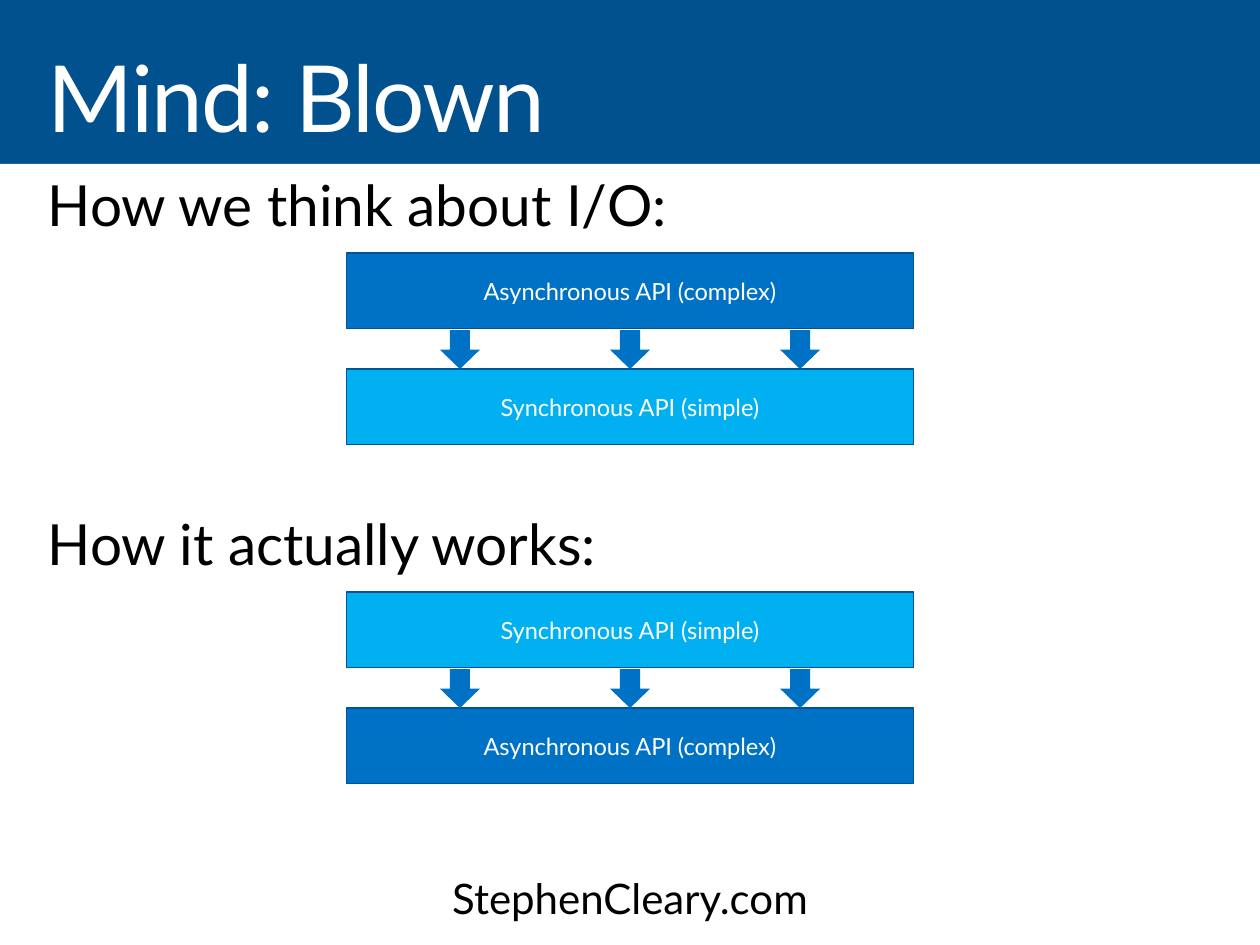
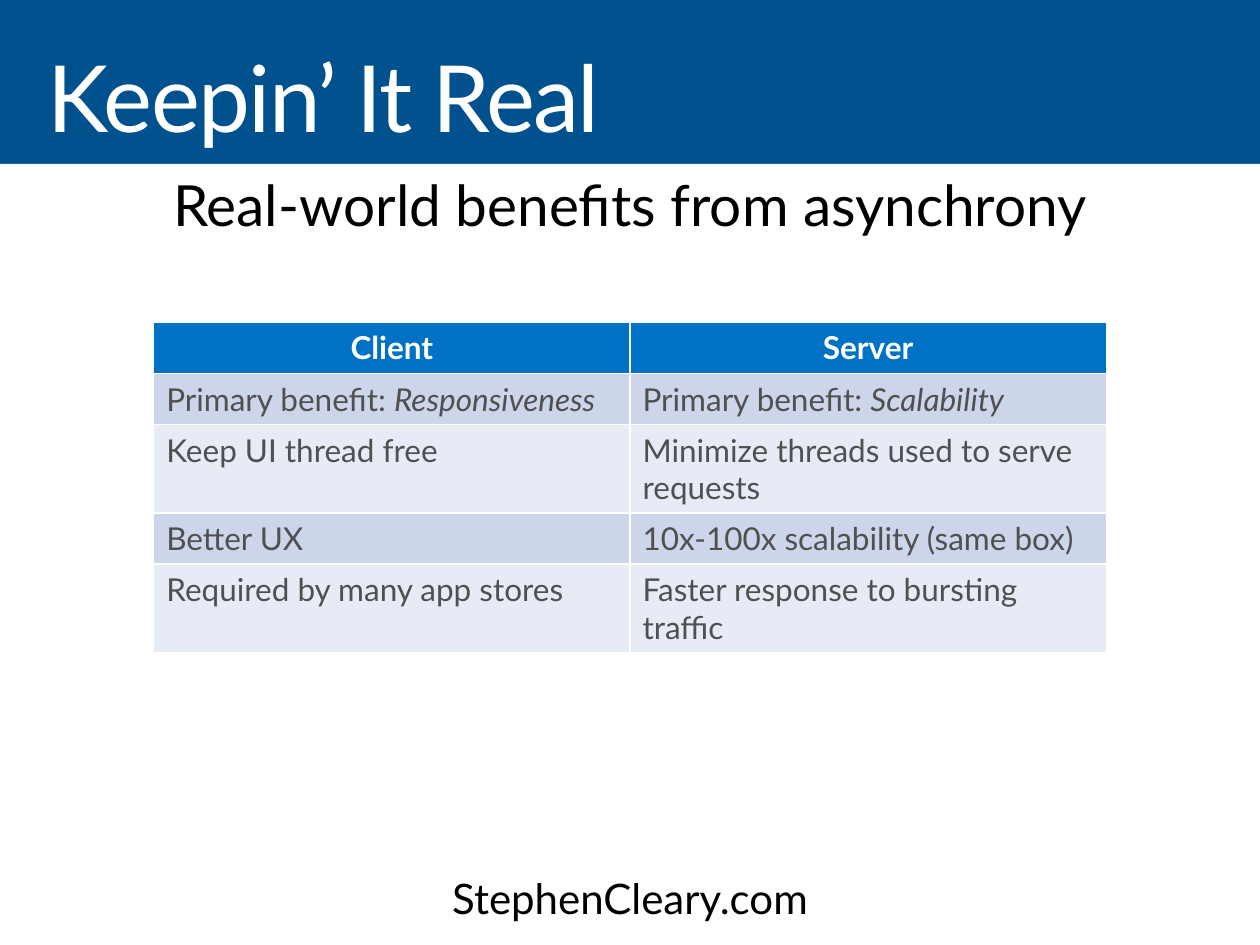
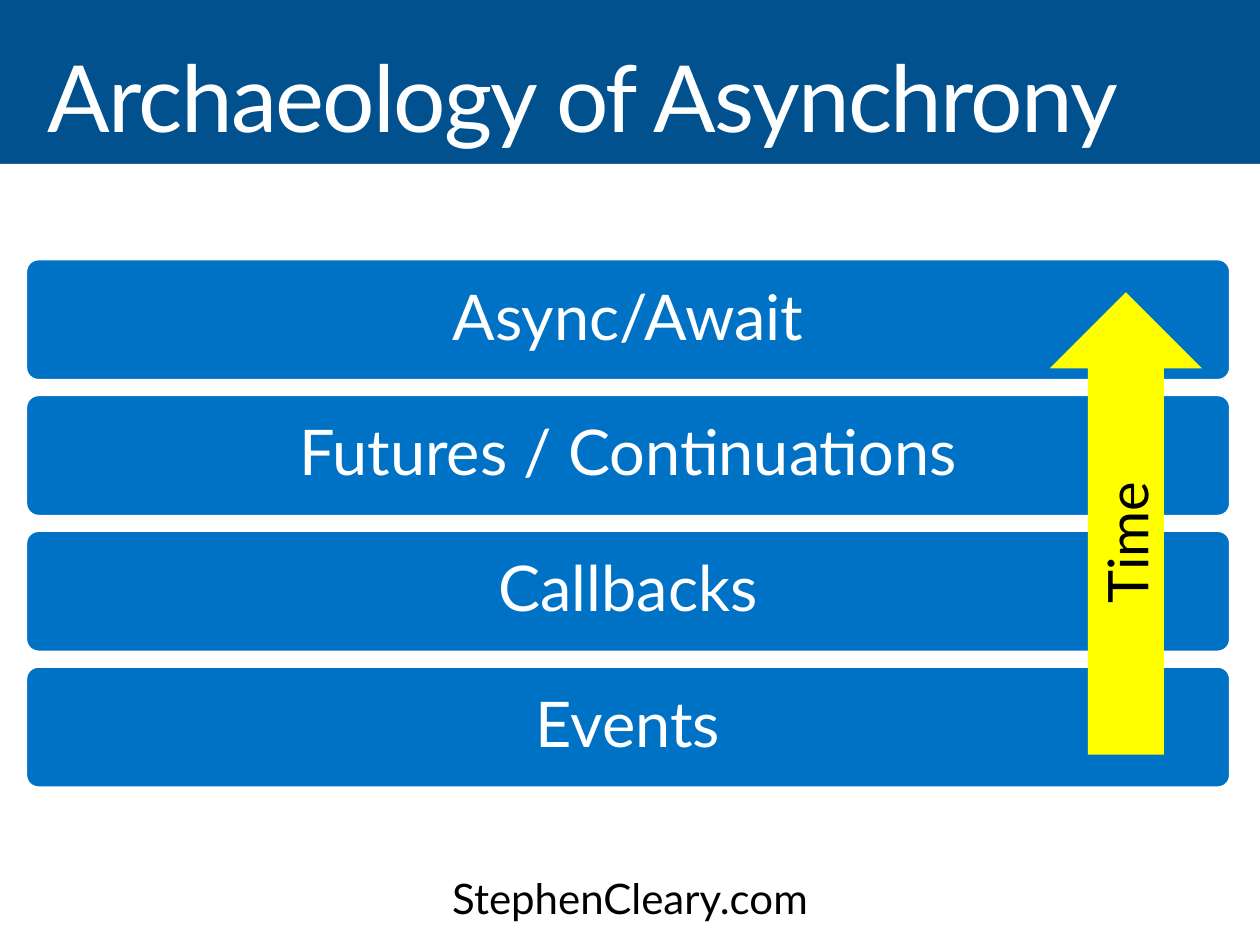
import pptx
import pptx.util
import pptx.dml.color
import pptx.enum.shapes
import pptx.enum.text

Pt = pptx.util.Pt
SHAPE = pptx.enum.shapes.MSO_SHAPE
ALIGN = pptx.enum.text.PP_ALIGN
ANCHOR = pptx.enum.text.MSO_ANCHOR

COLORS = {
    "band": "00518E",
    "white": "FFFFFF",
    "black": "000000",
    "blue": "0072C6",
    "sky": "00B0F0",
    "outline": "005492",
    "yellow": "FFFF00",
    "gray": "505050",
    "odd row": "CCD5EA",
    "even row": "E7EBF5",
}
FONT = "Lato"
MARGIN = 15.84
CONTENT_WIDTH = 688.32


def write(frame, text, size, color, align=ALIGN.LEFT, anchor=ANCHOR.TOP,
          insets=(7.2, 3.6), spacing=None):
    """Fill a text frame with one paragraph; insets are (side, top and bottom)."""
    frame.word_wrap = True
    frame.auto_size = pptx.enum.text.MSO_AUTO_SIZE.NONE
    frame.vertical_anchor = anchor
    frame.margin_left = frame.margin_right = Pt(insets[0])
    frame.margin_top = frame.margin_bottom = Pt(insets[1])
    frame.text = text
    paragraph = frame.paragraphs[0]
    paragraph.alignment = align
    paragraph.line_spacing = spacing
    paragraph.font.name = FONT
    paragraph.font.size = Pt(size)
    paragraph.font.color.rgb = pptx.dml.color.RGBColor.from_string(COLORS[color])


def add_block(slide, kind, left, top, width, height, fill, outline=None):
    block = slide.shapes.add_shape(kind, Pt(left), Pt(top), Pt(width), Pt(height))
    block.shadow.inherit = False
    block.fill.solid()
    block.fill.fore_color.rgb = pptx.dml.color.RGBColor.from_string(COLORS[fill])
    if outline:
        block.line.color.rgb = pptx.dml.color.RGBColor.from_string(COLORS[outline])
        block.line.width = Pt(0.85)
    else:
        block.line.fill.background()
    return block


deck = pptx.Presentation()
deck.slide_width, deck.slide_height = Pt(720), Pt(540)
background = deck.slide_master.background.fill
background.solid()
background.fore_color.rgb = pptx.dml.color.RGBColor.from_string(COLORS["band"])

# Title, white page and footer of every slide
slides = []
for heading in ("Mind: Blown", "Keepin’ It Real", "Archaeology of Asynchrony"):
    slide = deck.slides.add_slide(deck.slide_layouts.get_by_name("Title Only"))
    add_block(slide, SHAPE.RECTANGLE, 0, 93.6, 720, 446.4, "white")
    footer = slide.shapes.add_textbox(0, Pt(490.3), Pt(720), Pt(49.7))
    write(footer.text_frame, "StephenCleary.com", 24, "black", ALIGN.CENTER,
          insets=(14.4, 11.52), spacing=0.9)
    title = slide.shapes.title
    title.left, title.top = Pt(MARGIN), Pt(23.04)
    title.width, title.height = Pt(CONTENT_WIDTH), Pt(70.56)
    write(title.text_frame, heading, 52.9, "white", insets=(11.52, 7.2), spacing=0.9)
    title.text_frame.paragraphs[0].runs[0]._r.get_or_add_rPr().set("spc", "-100")
    slides.append(slide)
io_slide, benefits_slide, history_slide = slides

# Captions below the titles
for slide, caption, top, align in (
    (io_slide, "How we think about I/O:", 94.32, ALIGN.LEFT),
    (io_slide, "How it actually works:", 288, ALIGN.LEFT),
    (benefits_slide, "Real-world benefits from asynchrony", 94.32, ALIGN.CENTER),
):
    box = slide.shapes.add_textbox(Pt(MARGIN), Pt(top), Pt(CONTENT_WIDTH), Pt(49.7))
    write(box.text_frame, caption, 32.4, "black", align,
          insets=(11.52, 7.2), spacing=0.9)

# Slide 1: two API stacks in opposite order
asynchronous = ("Asynchronous API (complex)", "blue")
synchronous = ("Synchronous API (simple)", "sky")
for stack_top, layers in (
    (144.7, (asynchronous, synchronous)),
    (338.4, (synchronous, asynchronous)),
):
    for level, (label, fill) in enumerate(layers):
        layer = add_block(io_slide, SHAPE.RECTANGLE, 198, stack_top + level * 66.24,
                          324, 43.2, fill, "outline")
        write(layer.text_frame, label, 13.5, "white", ALIGN.CENTER, ANCHOR.MIDDLE)
    for column in range(3):
        add_block(io_slide, SHAPE.DOWN_ARROW, 251.28 + column * 97.2,
                  stack_top + 43.9, 23.04, 22.3, "blue")

# Slide 2: benefits table, where the second part of a cell is italic
benefits = (
    (("Client", ""), ("Server", "")),
    (("Primary benefit: ", "Responsiveness"), ("Primary benefit: ", "Scalability")),
    (("Keep UI thread free", ""), ("Minimize threads used to serve requests", "")),
    (("Better UX", ""), ("10x-100x scalability (same box)", "")),
    (("Required by many app stores", ""), ("Faster response to bursting traffic", "")),
)
table = benefits_slide.shapes.add_table(
    len(benefits), 2, Pt(87.84), Pt(184.32), Pt(544.32), Pt(146)).table
for row, entries in enumerate(benefits):
    table.rows[row].height = Pt(29.2)
    is_header = row == 0
    fill = "blue" if is_header else "odd row" if row % 2 else "even row"
    for column, (statement, emphasis) in enumerate(entries):
        cell = table.cell(row, column)
        cell.fill.solid()
        cell.fill.fore_color.rgb = pptx.dml.color.RGBColor.from_string(COLORS[fill])
        write(cell.text_frame, statement, 18, "white" if is_header else "gray",
              ALIGN.CENTER if is_header else ALIGN.LEFT)
        paragraph = cell.text_frame.paragraphs[0]
        paragraph.font.bold = is_header
        if emphasis:
            run = paragraph.add_run()
            run.text = emphasis
            run.font.italic = True

# Slide 3: layers of history, oldest at the bottom
eras = ("Async/Await", "Futures / Continuations", "Callbacks", "Events")
for position, era in enumerate(eras):
    layer = add_block(history_slide, SHAPE.ROUNDED_RECTANGLE, 15.12,
                      148.4 + position * 77.6, 687.6, 68.6, "blue", "white")
    layer.adjustments[0] = 0.1
    write(layer.text_frame, era, 36, "white", ALIGN.CENTER, ANCHOR.MIDDLE,
          insets=(10.8, 10.8), spacing=0.9)
time_arrow = add_block(history_slide, SHAPE.UP_ARROW, 599.8, 167, 87.1, 264.3, "yellow")
write(time_arrow.text_frame, "Time", 32, "black", ALIGN.CENTER, ANCHOR.MIDDLE,
      insets=(0, 3.6))
time_arrow.text_frame._txBody.bodyPr.set("vert", "vert270")

deck.save("out.pptx")
